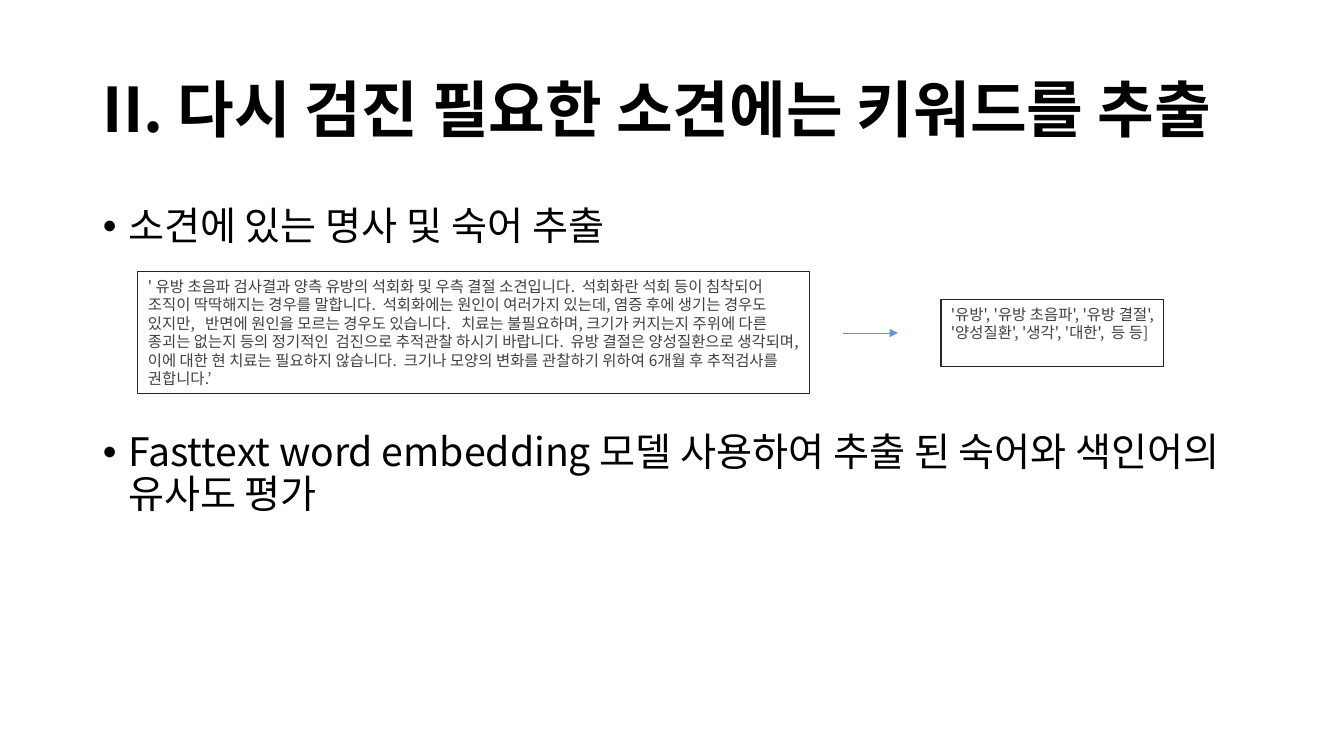
from lxml import etree
from pptx import Presentation, util as u
from pptx.dml.color import RGBColor
from pptx.enum import shapes, text
from pptx.oxml.ns import qn

BLACK = RGBColor(0, 0, 0)
GREY = RGBColor(0x40, 0x40, 0x40)
EDGE = RGBColor(0x26, 0x26, 0x26)
BLUE = RGBColor(0x5B, 0x9B, 0xD5)
FONT = "Noto Sans CJK KR"
SCALE = 914400 / 100.8


def px(n):
    return u.Emu(round(n * SCALE))


class Page:
    def __init__(self, slide):
        self.items = slide.shapes

    def style(self, para, size, color, bold=False):
        font = para.font
        font.name, font.size, font.bold = FONT, u.Pt(size), bold
        font.color.rgb = color
        props = para._p.get_or_add_pPr().find(qn("a:defRPr"))
        etree.SubElement(props, qn("a:ea"), typeface=FONT)

    def frame(self, shape, anchor):
        frame = shape.text_frame
        frame.word_wrap = True
        frame.vertical_anchor = anchor
        return frame

    def title(self, words, *area):
        shape = self.items.add_textbox(*map(px, area))
        para = self.frame(shape, text.MSO_ANCHOR.MIDDLE).paragraphs[0]
        para.text = words
        para.line_spacing = 0.9
        self.style(para, 44, BLACK, True)

    def bullets(self, rows, *area):
        shape = self.items.add_textbox(*map(px, area))
        frame = self.frame(shape, text.MSO_ANCHOR.TOP)
        for i, (words, gap) in enumerate(rows):
            para = frame.add_paragraph() if i else frame.paragraphs[0]
            para.text = words
            para.line_spacing = 0.9
            para.space_before = u.Pt(gap)
            props = para._p.get_or_add_pPr()
            props.set("marL", str(u.Inches(0.25)))
            props.set("indent", str(-u.Inches(0.25)))
            etree.SubElement(props, qn("a:buFont"), typeface="Arial")
            etree.SubElement(props, qn("a:buChar"), char="•")
            self.style(para, 28, BLACK)

    def box(self, words, *area):
        shape = self.items.add_shape(shapes.MSO_SHAPE.RECTANGLE, *map(px, area))
        shape.shadow.inherit = False
        shape.fill.background()
        shape.line.color.rgb = EDGE
        shape.line.width = u.Pt(0.75)
        para = self.frame(shape, text.MSO_ANCHOR.TOP).paragraphs[0]
        para.text = words
        para.alignment = text.PP_ALIGN.LEFT
        self.style(para, 11, GREY)

    def arrow(self, *ends):
        link = self.items.add_connector(
            shapes.MSO_CONNECTOR.STRAIGHT, *map(px, ends))
        link.line.color.rgb = BLUE
        link.line.width = u.Pt(0.5)
        etree.SubElement(link.line._get_or_add_ln(), qn("a:tailEnd"), type="triangle")
        etree.SubElement(link._element.spPr, qn("a:effectLst"))


deck = Presentation()
deck.slide_width, deck.slide_height = px(1344), px(756)
page = Page(deck.slides.add_slide(deck.slide_layouts[6]))

page.title("II. 다시 검진 필요한 소견에는 키워드를 추출", 93, 40, 1159, 146)
page.bullets([
    ("소견에 있는 명사 및 숙어 추출", 10),
    ("Fasttext word embedding 모델 사용하여 추출 된 숙어와 색인어의 유사도 평가", 131),
], 93, 202, 1159, 480)
page.box(
    "' 유방 초음파 검사결과 양측 유방의 석회화 및 우측 결절 소견입니다.  "
    "석회화란 석회 등이 침착되어 조직이 딱딱해지는 경우를 말합니다.  "
    "석회화에는 원인이 여러가지 있는데, 염증 후에 생기는 경우도 있지만,   "
    "반면에 원인을 모르는 경우도 있습니다.   치료는 불필요하며, "
    "크기가 커지는지 주위에 다른 종괴는 없는지 등의 정기적인  검진으로 "
    "추적관찰 하시기 바랍니다.  유방 결절은 양성질환으로 생각되며, "
    "이에 대한 현 치료는 필요하지 않습니다.  크기나 모양의 변화를 "
    "관찰하기 위하여 6개월 후 추적검사를 권합니다.’",
    138, 272, 672, 122)
page.box("'유방', '유방 초음파', '유방 결절', '양성질환', '생각', '대한',  등 등]",
         941, 300, 223, 67)
page.arrow(843, 333, 898, 333)

deck.save("out.pptx")
